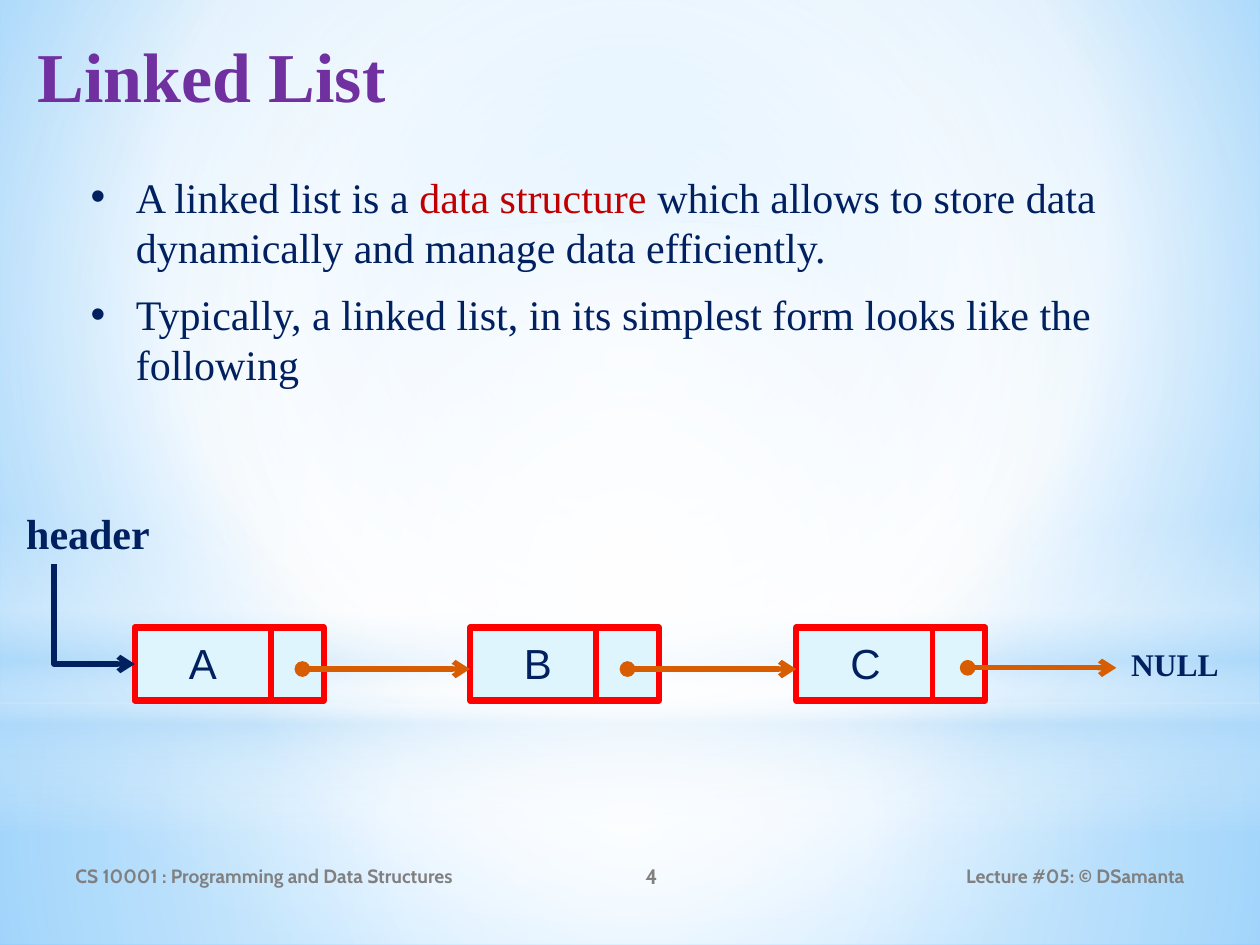
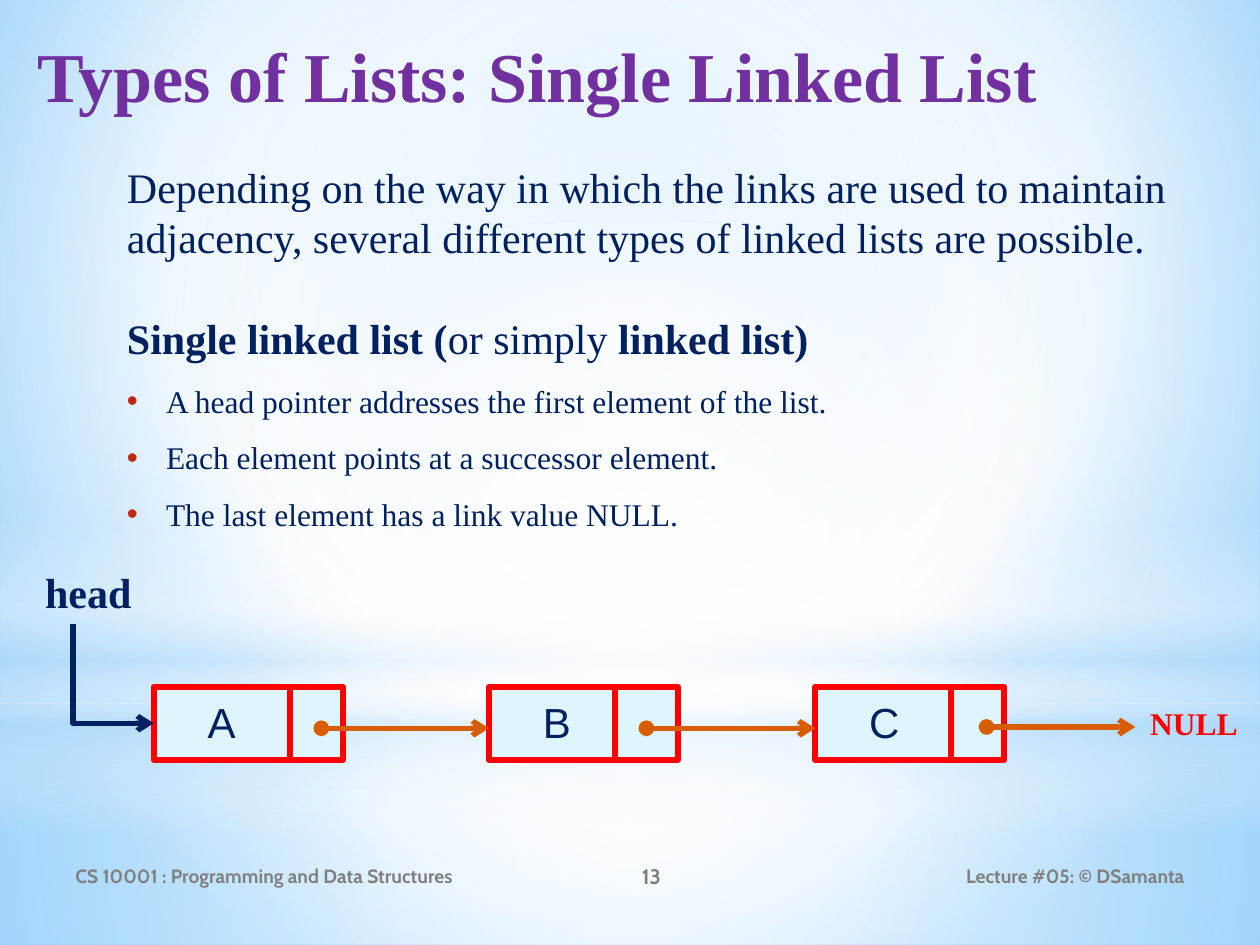
from dataclasses import dataclass
from typing import NamedTuple, Optional

from lxml import etree
from pptx import Presentation
from pptx.dml.color import RGBColor
from pptx.enum.shapes import MSO_CONNECTOR, MSO_SHAPE
from pptx.enum.text import MSO_ANCHOR, PP_ALIGN
from pptx.oxml.ns import qn
from pptx.util import Inches, Pt

RECTANGLE, OVAL = MSO_SHAPE.RECTANGLE, MSO_SHAPE.OVAL
STRAIGHT, ELBOW = MSO_CONNECTOR.STRAIGHT, MSO_CONNECTOR.ELBOW
LEFT, CENTER, RIGHT = PP_ALIGN.LEFT, PP_ALIGN.CENTER, PP_ALIGN.RIGHT
TOP, MIDDLE = MSO_ANCHOR.TOP, MSO_ANCHOR.MIDDLE


@dataclass(frozen=True)
class Theme:
    serif: str = "Times New Roman"
    sans: str = "Arial"
    footer_font: str = "Cabin"
    purple: str = "7030A0"
    navy: str = "002060"
    crimson: str = "C00000"
    bullet_red: str = "C3260C"
    red: str = "FF0000"
    orange: str = "D85C00"
    node_fill: str = "DFF5FD"
    gray: str = "808080"
    white: str = "FFFFFF"
    mist: str = "B4DCFA"
    sky: str = "9ED5FF"
    deep_sky: str = "5BB9FF"
    title_size: float = 40
    body_size: float = 24
    small_size: float = 18
    page_size: float = 12
    footer_size: float = 11


THEME = Theme()


class Box(NamedTuple):
    left: float
    top: float
    width: float
    height: float


class Stop(NamedTuple):
    position: int
    color: str
    opacity: int = 100


class Gradient(NamedTuple):
    stops: tuple[Stop, ...]
    focus: Optional[tuple[int, int, int, int]] = (50, 50, 50, 50)


class Glow(NamedTuple):
    shape: int
    box: Box
    gradient: Gradient


class Run(NamedTuple):
    text: str
    bold: bool = False
    color: str = THEME.navy


class Bullet(NamedTuple):
    margin: float
    hang: float
    color: str


class Para(NamedTuple):
    runs: tuple[Run, ...]
    size: float = THEME.body_size
    font: str = THEME.serif
    align: int = LEFT
    bullet: Optional[Bullet] = None
    before: float = 0
    after: float = 0
    line_spacing: float = 1.0


class Node(NamedTuple):
    label: str
    left: float
    divider: float
    link_start: float
    link_end: float
    link_y: float


class Chain(NamedTuple):
    left: float
    top: float
    pointer_name: str
    null_color: str


class Lesson(NamedTuple):
    number: int
    title: str
    body_box: Box
    body: tuple[Para, ...]
    chain: Chain


# Shared backdrop
WHITE, MIST = THEME.white, THEME.mist
BACKDROP = Gradient(
    (Stop(0, THEME.sky), Stop(60, WHITE), Stop(100, THEME.deep_sky)), (20, 10, 20, 60))
GLOWS = (
    Glow(RECTANGLE, Box(0, 5.58, 10, 1.92),
         Gradient((Stop(0, WHITE, 91), Stop(37, WHITE, 76), Stop(100, MIST, 79)))),
    Glow(RECTANGLE, Box(0, 0, 10, 5.58),
         Gradient((Stop(0, WHITE, 89), Stop(48, WHITE, 62), Stop(100, MIST, 79)))),
    Glow(RECTANGLE, Box(0, 4.12, 10, 2.5),
         Gradient((Stop(0, WHITE, 0), Stop(29, WHITE, 30), Stop(45, MIST, 40),
                   Stop(55, WHITE, 26), Stop(65, MIST, 60), Stop(100, WHITE, 0)), None)),
    Glow(OVAL, Box(0, 1.75, 10, 5.58), Gradient((Stop(0, WHITE), Stop(56, WHITE, 0)))),
)

# List nodes, measured from the chain's left and top
NODE_WIDTH, NODE_HEIGHT = 1.5, 0.58
NODES = (
    Node("A", 0, 1.08, 1.33, 2.66, 0.33),
    Node("B", 2.66, 3.66, 3.91, 5.25, 0.33),
    Node("C", 5.25, 6.33, 6.61, 7.79, 0.32),
)

# Slide content
DOT = Bullet(0.47, 0.36, THEME.navy)
RED_DOT = Bullet(0.31, 0.31, THEME.bullet_red)
FACTS = (
    "A head pointer addresses the first element of the list.",
    "Each element points at a successor element.",
    "The last element has a link value NULL.",
)
LESSONS = (
    Lesson(4, "Linked List", Box(0.51, 1.31, 9.29, 3.23), (
        Para((Run("A linked list is a "), Run("data structure ", color=THEME.crimson),
              Run("which allows to store data dynamically and manage data efficiently.")),
             bullet=DOT, after=9.4),
        Para((Run("Typically, a linked list, in its simplest form looks like the following"),),
             bullet=DOT),
    ), Chain(1.07, 4.98, "header", THEME.navy)),
    Lesson(13, "Types of Lists: Single Linked List", Box(0.91, 1.23, 8.5, 3.89), (
        Para((Run("Depending on the way in which the links are used to maintain adjacency, "
                  "several different types of linked lists are possible."),)),
        Para((Run("Single linked list (", True), Run("or simply "), Run("linked list)", True)),
             before=28.8),
        *(Para((Run(fact),), THEME.small_size, bullet=RED_DOT, line_spacing=1.5)
          for fact in FACTS),
    ), Chain(1.22, 5.45, "head", THEME.red)),
)


def set_gradient(fill, owner, gradient: Gradient) -> None:
    """Fill with stops, radial around focus or else running downwards."""
    fill.gradient()
    grad = owner.find(".//" + qn("a:gradFill"))
    grad.clear()
    stops = etree.SubElement(grad, qn("a:gsLst"))
    for position, color, opacity in gradient.stops:
        stop = etree.SubElement(stops, qn("a:gs"), pos=str(position * 1000))
        rgb = etree.SubElement(stop, qn("a:srgbClr"), val=color)
        if opacity < 100:
            etree.SubElement(rgb, qn("a:alpha"), val=str(opacity * 1000))
    if gradient.focus is None:
        etree.SubElement(grad, qn("a:lin"), ang="5400000", scaled="0")
    else:
        radial = etree.SubElement(grad, qn("a:path"), path="circle")
        sides = {side: str(v * 1000) for side, v in zip("ltrb", gradient.focus)}
        etree.SubElement(radial, qn("a:fillToRect"), **sides)


def add_shape(slide, kind: int, box: Box):
    shape = slide.shapes.add_shape(kind, *map(Inches, box))
    shape.shadow.inherit = False
    return shape


def set_bullet(paragraph, bullet: Bullet) -> None:
    props = paragraph._p.get_or_add_pPr()
    props.set("marL", str(Inches(bullet.margin)))
    props.set("indent", str(-Inches(bullet.hang)))
    color = etree.SubElement(props, qn("a:buClr"))
    etree.SubElement(color, qn("a:srgbClr"), val=bullet.color)
    etree.SubElement(props, qn("a:buFont"), typeface=THEME.sans)
    etree.SubElement(props, qn("a:buChar"), char="•")


def add_text(slide, box: Box, *paras: Para, anchor: int = TOP, margin_top: float = 0.05) -> None:
    frame = slide.shapes.add_textbox(*map(Inches, box)).text_frame
    frame.word_wrap = True
    frame.vertical_anchor = anchor
    frame.margin_top = Inches(margin_top)
    for i, para in enumerate(paras):
        paragraph = frame.paragraphs[0] if i == 0 else frame.add_paragraph()
        paragraph.alignment = para.align
        paragraph.line_spacing = para.line_spacing
        paragraph.space_before, paragraph.space_after = Pt(para.before), Pt(para.after)
        if para.bullet:
            set_bullet(paragraph, para.bullet)
        paragraph.font.name, paragraph.font.size = para.font, Pt(para.size)
        for text, bold, color in para.runs:
            run = paragraph.add_run()
            run.text = text
            run.font.bold = bold
            run.font.color.rgb = RGBColor.from_string(color)


def add_line(slide, start: tuple[float, float], end: tuple[float, float], color: str,
             width: float = 3, head: str = "none", tail: str = "none", kind: int = STRAIGHT):
    line = slide.shapes.add_connector(kind, *map(Inches, (*start, *end)))
    line.line.color.rgb = RGBColor.from_string(color)
    line.line.width = Pt(width)
    props = line._element.spPr
    outline = props.find(qn("a:ln"))
    etree.SubElement(outline, qn("a:headEnd"), type=head)
    etree.SubElement(outline, qn("a:tailEnd"), type=tail)
    etree.SubElement(props, qn("a:effectLst"))
    return line


def add_down_right_arrow(slide, start: tuple[float, float], end: tuple[float, float],
                         color: str) -> None:
    """One-bend arrow: a turned, mirrored elbow whose frame swaps width and height."""
    mid_x, mid_y = (start[0] + end[0]) / 2, (start[1] + end[1]) / 2
    half_w, half_h = (end[1] - start[1]) / 2, (end[0] - start[0]) / 2
    arrow = add_line(slide, (mid_x - half_w, mid_y - half_h), (mid_x + half_w, mid_y + half_h),
                     color, tail="arrow", kind=ELBOW)
    props = arrow._element.spPr
    props.find(qn("a:prstGeom")).set("prst", "bentConnector2")
    frame = props.find(qn("a:xfrm"))
    frame.set("rot", "16200000")
    frame.set("flipH", "1")


def draw_backdrop(slide) -> None:
    set_gradient(slide.background.fill, slide._element, BACKDROP)
    for glow in GLOWS:
        shape = add_shape(slide, glow.shape, glow.box)
        shape.line.fill.background()
        set_gradient(shape.fill, shape._element, glow.gradient)


def draw_title_and_footer(slide, title: str, number: int) -> None:
    add_text(slide, Box(0.2, 0.21, 9.53, 1.1),
             Para((Run(title, True, THEME.purple),), THEME.title_size))
    for text, left, width, size, align in (
        ("CS 10001 : Programming and Data Structures", 0.5, 3.67, THEME.footer_size, LEFT),
        (str(number), 4.17, 2, THEME.page_size, CENTER),
        ("Lecture #05: © DSamanta", 6.75, 2.75, THEME.footer_size, RIGHT),
    ):
        add_text(slide, Box(left, 6.75, width, 0.4),
                 Para((Run(text, True, THEME.gray),), size, THEME.footer_font, align),
                 anchor=MIDDLE)


def draw_chain(slide, chain: Chain) -> None:
    x, y = chain.left, chain.top
    # Node boxes
    for node in NODES:
        cell = add_shape(slide, RECTANGLE, Box(x + node.left, y, NODE_WIDTH, NODE_HEIGHT))
        cell.fill.solid()
        cell.fill.fore_color.rgb = RGBColor.from_string(THEME.node_fill)
        cell.line.color.rgb = RGBColor.from_string(THEME.red)
        cell.line.width = Pt(3.5)
    # Links, dividers and labels
    for node in NODES:
        link_y, divider_x = y + node.link_y, x + node.divider
        add_line(slide, (x + node.link_start, link_y), (x + node.link_end, link_y),
                 THEME.orange, head="oval", tail="arrow")
        add_line(slide, (divider_x, y), (divider_x, y + NODE_HEIGHT), THEME.red, 3.25)
        add_text(slide, Box(x + node.left + 0.33, y, 0.67, 0.5),
                 Para((Run(node.label),), font=THEME.sans), margin_top=0.08)
    # End marker and head pointer
    add_text(slide, Box(x + 7.81, y + 0.09, 0.94, 0.4),
             Para((Run("NULL", True, chain.null_color),), THEME.small_size))
    add_down_right_arrow(slide, (x - 0.64, y - 0.5), (x, y + NODE_HEIGHT / 2), THEME.navy)
    add_text(slide, Box(x - 0.96, y - 1, 1.19, 0.5), Para((Run(chain.pointer_name, True),)))


def main() -> None:
    deck = Presentation()
    deck.slide_width, deck.slide_height = Inches(10), Inches(7.5)
    blank = deck.slide_layouts[6]
    for lesson in LESSONS:
        slide = deck.slides.add_slide(blank)
        draw_backdrop(slide)
        draw_title_and_footer(slide, lesson.title, lesson.number)
        add_text(slide, lesson.body_box, *lesson.body)
        draw_chain(slide, lesson.chain)
    deck.save("out.pptx")


if __name__ == "__main__":
    main()
